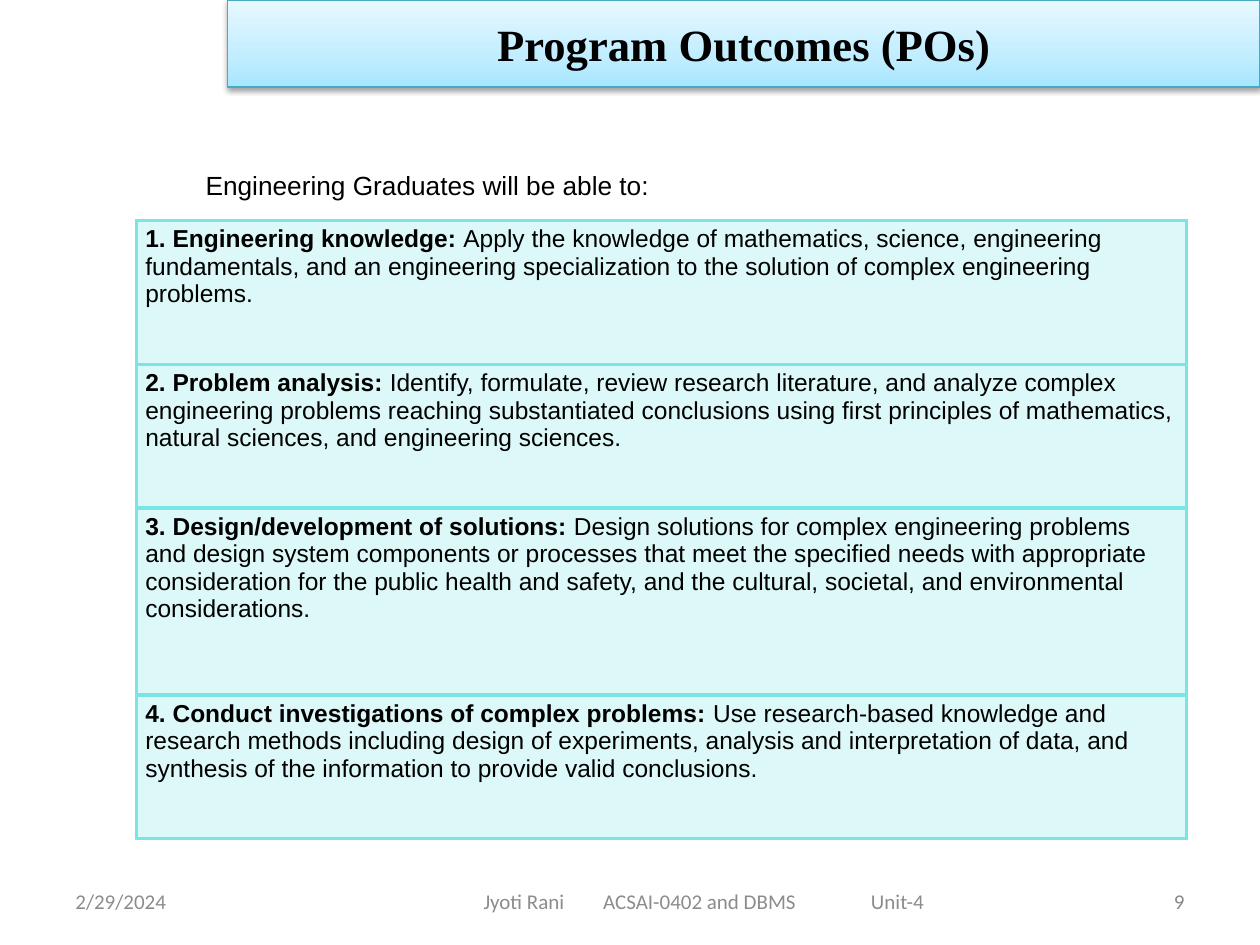
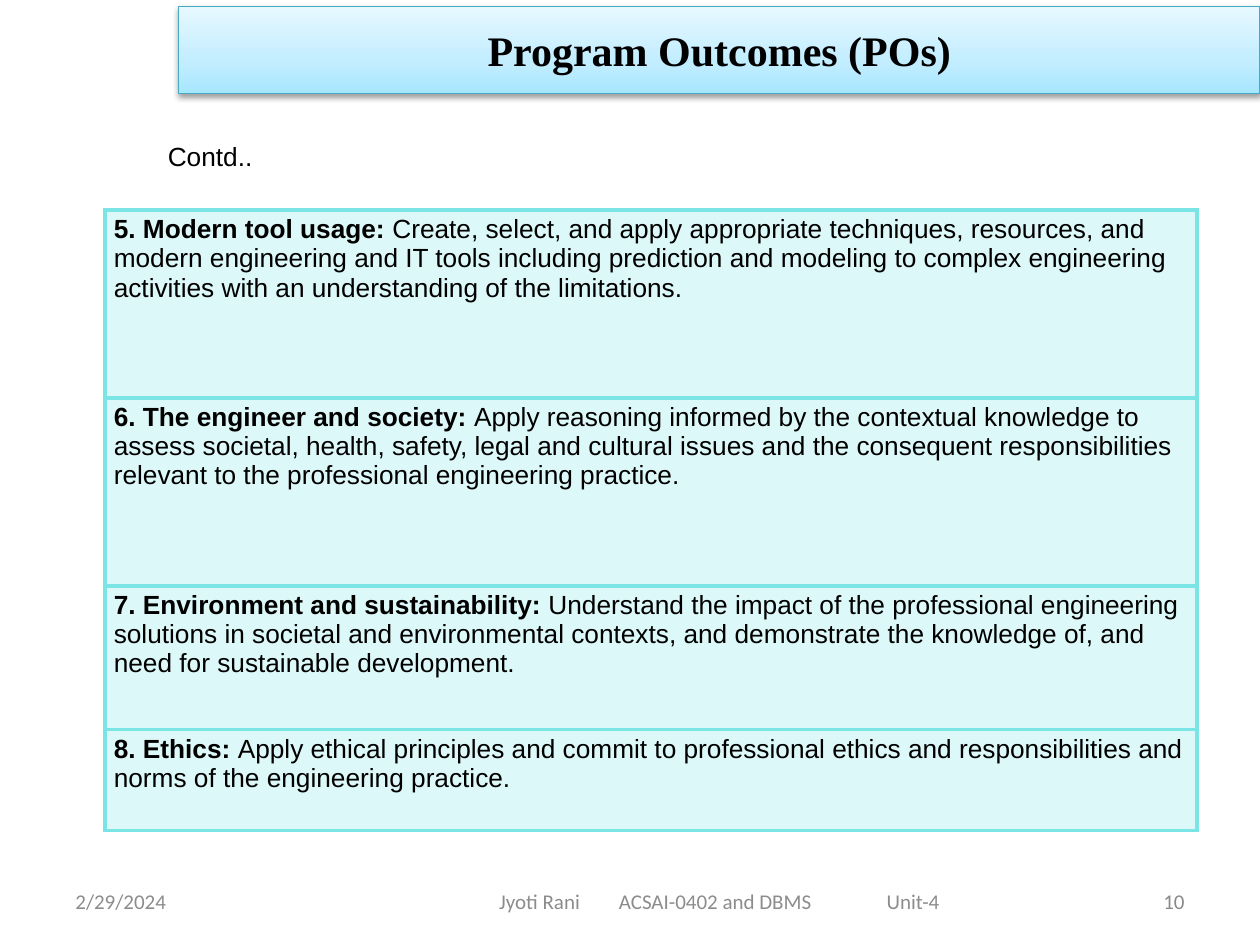
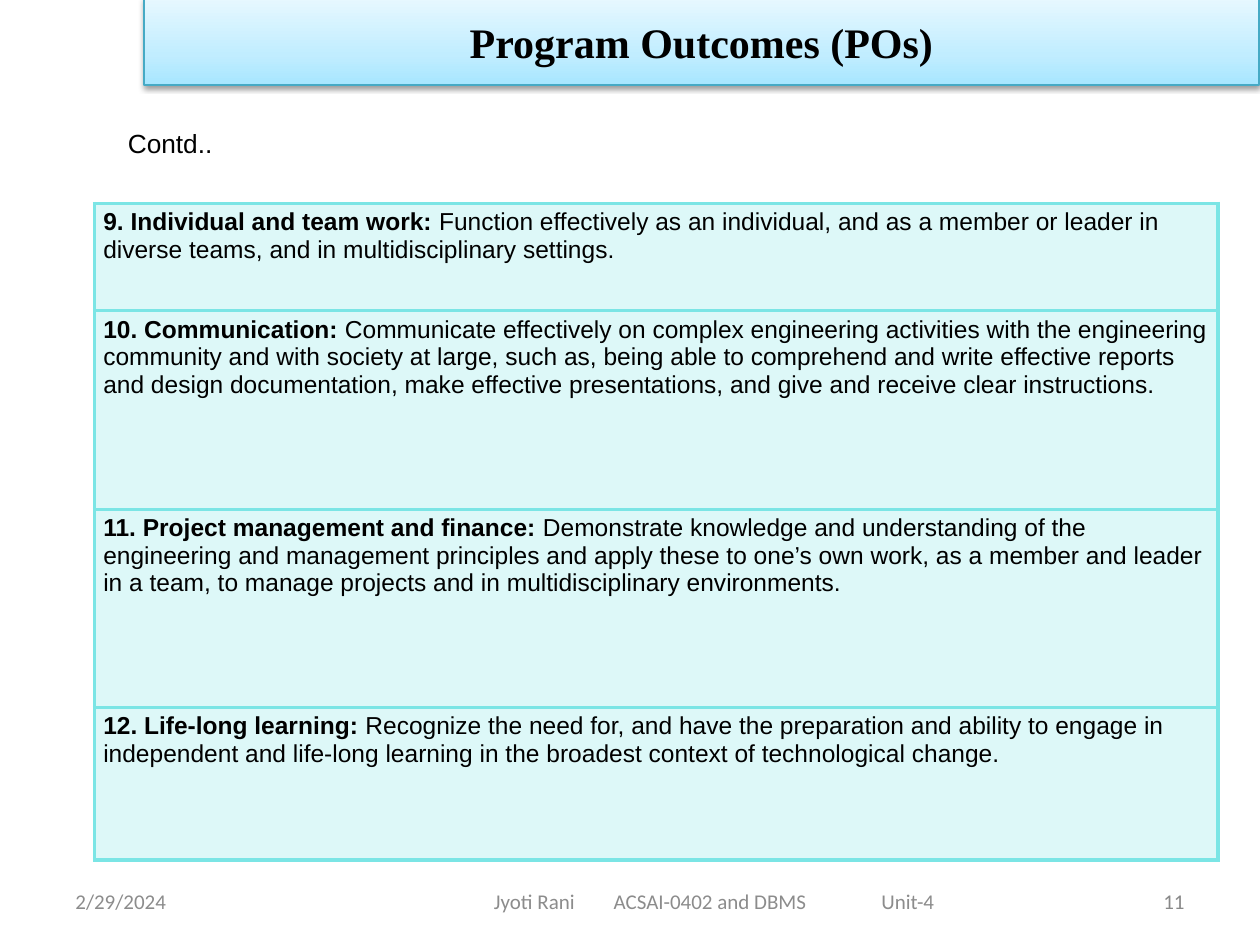
from lxml import etree
from pptx import Presentation
from pptx.dml.color import RGBColor
from pptx.enum.text import MSO_ANCHOR, MSO_AUTO_SIZE, PP_ALIGN
from pptx.oxml import parse_xml
from pptx.oxml.ns import qn
from pptx.util import Inches, Pt

LEFT, CENTER, RIGHT = PP_ALIGN.LEFT, PP_ALIGN.CENTER, PP_ALIGN.RIGHT
TOP, MIDDLE = MSO_ANCHOR.TOP, MSO_ANCHOR.MIDDLE
NO_AUTOFIT = MSO_AUTO_SIZE.NONE
TITLE_ONLY = 5

SLIDE_WIDTH, SLIDE_HEIGHT = Inches(10), Inches(7.5)
UNIT = SLIDE_WIDTH / 120  # the grid has 120 columns and 90 rows
NAMESPACE = 'xmlns:a="http://schemas.openxmlformats.org/drawingml/2006/main"'

COLORS = {
    "text": "000000", "footer": "8C8C8C", "number": "898989", "table": "7BE5E5",
    "band_bottom": "A7E6FF", "band_middle": "C1EDFF", "band_top": "E7F8FF",
    "band_line": "46AAC5", "shadow": "000000",
}

TITLE = "Program Outcomes (POs)"
DATE = "2/29/2024"
FOOTER = "Jyoti Rani\tACSAI-0402 and DBMS\tUnit-4"
FOOTER_TABS = (11.4, 36.9)
FOOTER_TEXT_WIDTH = 41.9

# Boxes are (left, top, width, height) in grid units
SLIDES = [
    {
        "number": 9, "title_size": 25.5, "text_size": 14, "footer_width": 52,
        "band": (21.7, 0, 98.3, 8.3),
        "intro": ("Engineering Graduates will be able to:", (18.4, 15.5, 45.1, 4.2)),
        "table": (13, 21, 100), "rows": (13.7, 13.7, 17.8, 13.7),
        "outcomes": [
            ("1. Engineering knowledge:", "Apply the knowledge of mathematics, science, engineering fundamentals, and an engineering specialization to the solution of complex engineering problems."),
            ("2. Problem analysis:", "Identify, formulate, review research literature, and analyze complex engineering problems reaching substantiated conclusions using first principles of mathematics, natural sciences, and engineering sciences."),
            ("3. Design/development of solutions:", "Design solutions for complex engineering problems and design system components or processes that meet the specified needs with appropriate consideration for the public health and safety, and the cultural, societal, and environmental considerations."),
            ("4. Conduct investigations of complex problems:", "Use research-based knowledge and research methods including design of experiments, analysis and interpretation of data, and synthesis of the information to provide valid conclusions."),
        ],
    },
    {
        "number": 10, "title_size": 24, "text_size": 15, "footer_width": 55,
        "band": (17, 0.6, 103, 8.3),
        "intro": ("Contd..", (14.8, 12.8, 10.6, 4.2)),
        "table": (10, 20, 104), "rows": (17.9, 17.9, 13.7, 9.6),
        "outcomes": [
            ("5. Modern tool usage:", "Create, select, and apply appropriate techniques, resources, and modern engineering and IT tools including prediction and modeling to complex engineering activities with an understanding of the limitations."),
            ("6. The engineer and society:", "Apply reasoning informed by the contextual knowledge to assess societal, health, safety, legal and cultural issues and the consequent responsibilities relevant to the professional engineering practice."),
            ("7. Environment and sustainability:", "Understand the impact of the professional engineering solutions in societal and environmental contexts, and demonstrate the knowledge of, and need for sustainable development."),
            ("8. Ethics:", "Apply ethical principles and commit to professional ethics and responsibilities and norms of the engineering practice."),
        ],
    },
    {
        "number": 11, "title_size": 24, "text_size": 14, "footer_width": 54,
        "band": (13.7, -0.2, 106.2, 8.3),
        "intro": ("Contd..", (11, 11.5, 10.6, 4.2)),
        "table": (9, 19.4, 107), "rows": (10.2, 18.9, 18.9, 14.5),
        "outcomes": [
            ("9. Individual and team work:", "Function effectively as an individual, and as a member or leader in diverse teams, and in multidisciplinary settings."),
            ("10. Communication:", "Communicate effectively on complex engineering activities with the engineering community and with society at large, such as, being able to comprehend and write effective reports and design documentation, make effective presentations, and give and receive clear instructions."),
            ("11. Project management and finance:", "Demonstrate knowledge and understanding of the engineering and management principles and apply these to one’s own work, as a member and leader in a team, to manage projects and in multidisciplinary environments."),
            ("12. Life-long learning:", "Recognize the need for, and have the preparation and ability to engage in independent and life-long learning in the broadest context of technological change."),
        ],
    },
]


def grid(*units):
    return [round(unit * UNIT) for unit in units]


def color_xml(name, alpha=100):
    return f'<a:srgbClr val="{COLORS[name]}"><a:alpha val="{alpha * 1000}"/></a:srgbClr>'


def append_xml(parent, tag, attributes, content):
    parent.append(parse_xml(f"<a:{tag} {NAMESPACE} {attributes}>{content}</a:{tag}>"))


def add_text(paragraph, text, size, font="Arial", color="text", bold=False, align=LEFT):
    paragraph.alignment = align
    run = paragraph.add_run()
    run.text = text
    run.font.name = font
    run.font.size = Pt(size)
    run.font.bold = bold
    run.font.color.rgb = RGBColor.from_string(COLORS[color])


def add_text_box(slide, box, text, anchor=TOP, wrap=True, **text_format):
    frame = slide.shapes.add_textbox(*grid(*box)).text_frame
    frame.word_wrap = wrap
    frame.vertical_anchor = anchor
    add_text(frame.paragraphs[0], text, **text_format)
    return frame


def add_title_band(slide, box, size):
    title = slide.shapes.title
    title.left, title.top, title.width, title.height = grid(*box)
    # Gradient from bottom to top, thin outline, soft shadow below
    properties = title._element.spPr
    stops = "".join(
        f'<a:gs pos="{share * 1000}">{color_xml(name)}</a:gs>'
        for share, name in ((0, "band_bottom"), (35, "band_middle"), (100, "band_top")))
    append_xml(properties, "gradFill", 'rotWithShape="1"',
               f'<a:gsLst>{stops}</a:gsLst><a:lin ang="16200000" scaled="1"/>')
    title.line.color.rgb = RGBColor.from_string(COLORS["band_line"])
    title.line.width = Pt(0.75)
    append_xml(properties, "effectLst", "",
               f'<a:outerShdw blurRad="{Pt(3.1)}" dist="{Pt(1.6)}" dir="5400000" '
               f'rotWithShape="0">{color_xml("shadow", 38)}</a:outerShdw>')
    frame = title.text_frame
    frame.auto_size = NO_AUTOFIT
    frame.vertical_anchor = MIDDLE
    add_text(frame.paragraphs[0], TITLE, size, font="Times New Roman", bold=True, align=CENTER)


def format_cell(cell):
    cell.margin_left = cell.margin_right = Inches(0.07)
    cell.margin_top = cell.margin_bottom = Inches(0.04)
    properties = cell._tc.get_or_add_tcPr()
    for side in "LRTB":
        append_xml(properties, f"ln{side}", f'w="{Pt(2.25)}"',
                   f'<a:solidFill>{color_xml("table")}</a:solidFill>')
    append_xml(properties, "solidFill", "", color_xml("table", 25))


def add_outcome_table(slide, place, row_heights, outcomes, size):
    box = grid(*place, sum(row_heights))
    table = slide.shapes.add_table(len(outcomes), 1, *box).table
    table.first_row = table.horz_banding = False
    for row, height, (heading, description) in zip(table.rows, grid(*row_heights), outcomes):
        row.height = height
        cell = row.cells[0]
        format_cell(cell)
        paragraph = cell.text_frame.paragraphs[0]
        add_text(paragraph, heading + " ", size, bold=True)
        add_text(paragraph, description, size)


def add_footer(slide, number, footer_width):
    top, height = 83.4, 4.8
    small = {"size": 12, "font": "Calibri", "anchor": MIDDLE}
    add_text_box(slide, (6, top, 28, height), DATE, color="footer", **small)
    add_text_box(slide, (86, top, 28, height), str(number), color="number", align=RIGHT, **small)
    # Tab stops part the three footer items; equal insets centre them
    frame = add_text_box(slide, (41, top, footer_width, height), FOOTER, color="footer", **small)
    frame.margin_left = grid((footer_width - FOOTER_TEXT_WIDTH) / 2)[0]
    frame.margin_right = 0
    tab_list = etree.SubElement(frame.paragraphs[0]._p.get_or_add_pPr(), qn("a:tabLst"))
    for position in grid(*FOOTER_TABS):
        etree.SubElement(tab_list, qn("a:tab"), pos=str(position), algn="l")


def add_outcome_slide(presentation, content):
    slide = presentation.slides.add_slide(presentation.slide_layouts[TITLE_ONLY])
    add_footer(slide, content["number"], content["footer_width"])
    intro, intro_box = content["intro"]
    add_text_box(slide, intro_box, intro, wrap=False, size=15)
    add_outcome_table(slide, content["table"], content["rows"],
                      content["outcomes"], content["text_size"])
    add_title_band(slide, content["band"], content["title_size"])


def main():
    presentation = Presentation()
    presentation.slide_width, presentation.slide_height = SLIDE_WIDTH, SLIDE_HEIGHT
    for content in SLIDES:
        add_outcome_slide(presentation, content)
    presentation.save("out.pptx")


if __name__ == "__main__":
    main()
